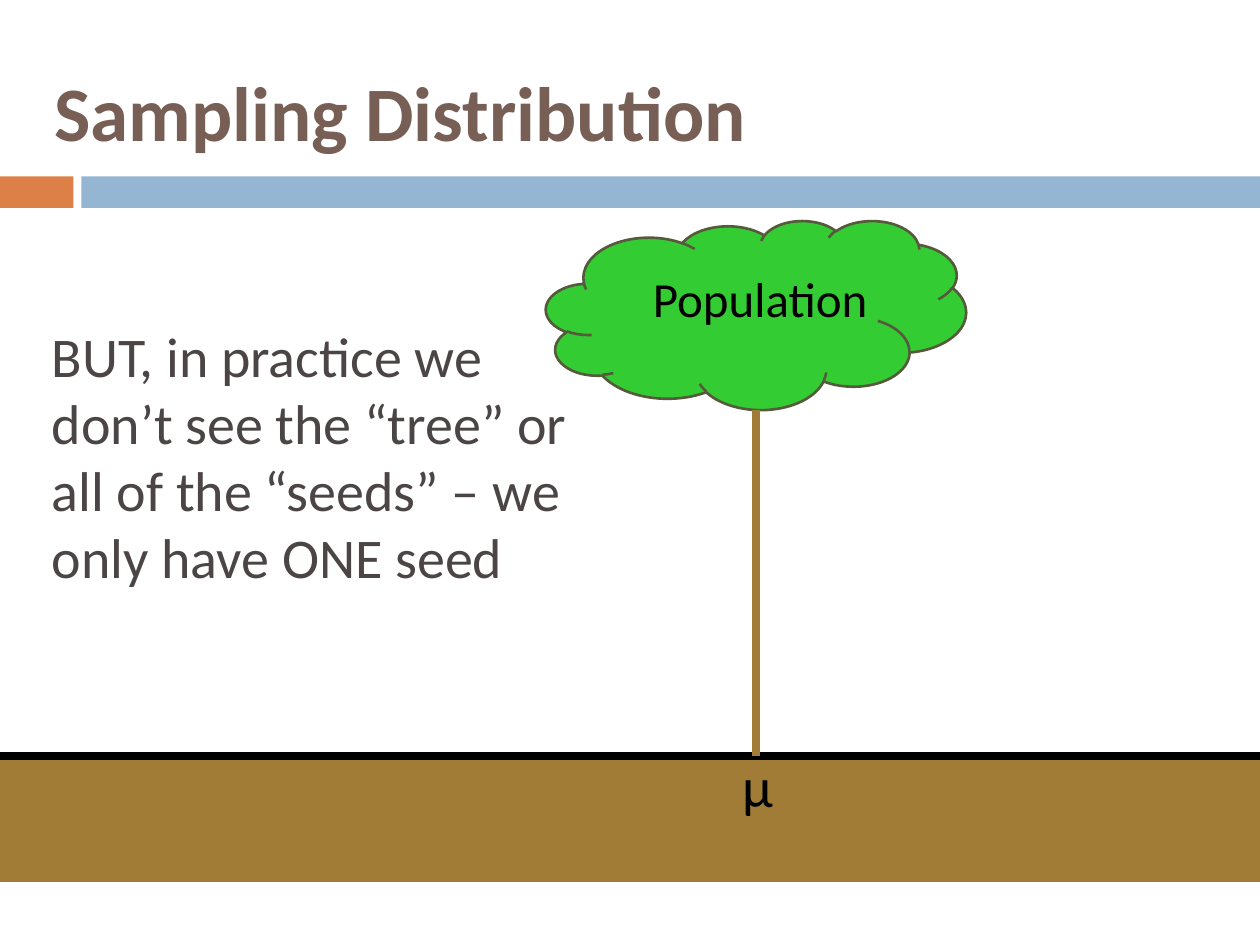
from lxml import etree
from pptx import Presentation
from pptx.dml.color import RGBColor
from pptx.enum.shapes import MSO_CONNECTOR, MSO_SHAPE
from pptx.enum.text import MSO_ANCHOR
from pptx.oxml.ns import qn
from pptx.util import Pt

RECTANGLE = MSO_SHAPE.RECTANGLE
CLOUD = MSO_SHAPE.CLOUD
STRAIGHT = MSO_CONNECTOR.STRAIGHT
TOP = MSO_ANCHOR.TOP
MIDDLE = MSO_ANCHOR.MIDDLE

WIDTH, HEIGHT = 720, 540
GROUND_TOP = 432
TRUNK_X = 432
CLOUD_BOTTOM = 234

COLORS = {
    "orange": "DD8047",
    "blue": "94B6D2",
    "soil": "A17C36",
    "leaf": "33CC33",
    "leaf_edge": "565A3C",
    "title": "775F55",
    "body": "4C4545",
    "black": "000000",
}


class SlideBuilder:
    font_name = "Calibri"

    def __init__(self, slide):
        self.slide = slide

    def color(self, name):
        return RGBColor.from_string(COLORS[name])

    def shape(self, kind, left, top, width, height, fill, edge=None):
        shape = self.slide.shapes.add_shape(kind, Pt(left), Pt(top), Pt(width), Pt(height))
        shape.shadow.inherit = False
        shape.fill.solid()
        shape.fill.fore_color.rgb = self.color(fill)
        if edge:
            shape.line.color.rgb = self.color(edge)
            shape.line.width = Pt(1.5)
        else:
            shape.line.fill.background()

    def line(self, start, end, color):
        connector = self.slide.shapes.add_connector(STRAIGHT, *map(Pt, start + end))
        connector.line.color.rgb = self.color(color)
        connector.line.width = Pt(4.5)
        etree.SubElement(connector._element.spPr, qn("a:effectLst"))

    def text(self, content, left, top, width, height, size, color, bold=False, anchor=TOP):
        box = self.slide.shapes.add_textbox(Pt(left), Pt(top), Pt(width), Pt(height))
        frame = box.text_frame
        frame.word_wrap = True
        frame.vertical_anchor = anchor
        run = frame.paragraphs[0].add_run()
        run.text = content
        run.font.name = self.font_name
        run.font.size = Pt(size)
        run.font.bold = bold
        run.font.color.rgb = self.color(color)


def main():
    presentation = Presentation()
    presentation.slide_width = Pt(WIDTH)
    presentation.slide_height = Pt(HEIGHT)
    builder = SlideBuilder(presentation.slides.add_slide(presentation.slide_layouts[6]))

    builder.shape(RECTANGLE, 0, 100.8, 42, 18, "orange")
    builder.shape(RECTANGLE, 46.5, 100.8, WIDTH - 46.5, 18, "blue")
    builder.shape(RECTANGLE, 0, GROUND_TOP, WIDTH, 72, "soil")
    builder.text("Sampling Distribution", 24, 18, 648, 90, 44, "title", bold=True, anchor=MIDDLE)
    builder.line((0, GROUND_TOP), (WIDTH, GROUND_TOP), "black")
    builder.shape(CLOUD, 312, CLOUD_BOTTOM - 108, 240, 108, "leaf", "leaf_edge")
    builder.text("Population", 366, 150, 162, 41, 28, "black")
    builder.line((TRUNK_X, CLOUD_BOTTOM), (TRUNK_X, GROUND_TOP), "soil")
    builder.text("µ", 417, 426, 42, 46, 32, "black")
    builder.text(
        "BUT, in practice we don’t see the “tree” or all of the “seeds” – we only have ONE seed",
        22.5, 180, 318, 163, 32, "body",
    )

    presentation.save("out.pptx")


if __name__ == "__main__":
    main()
